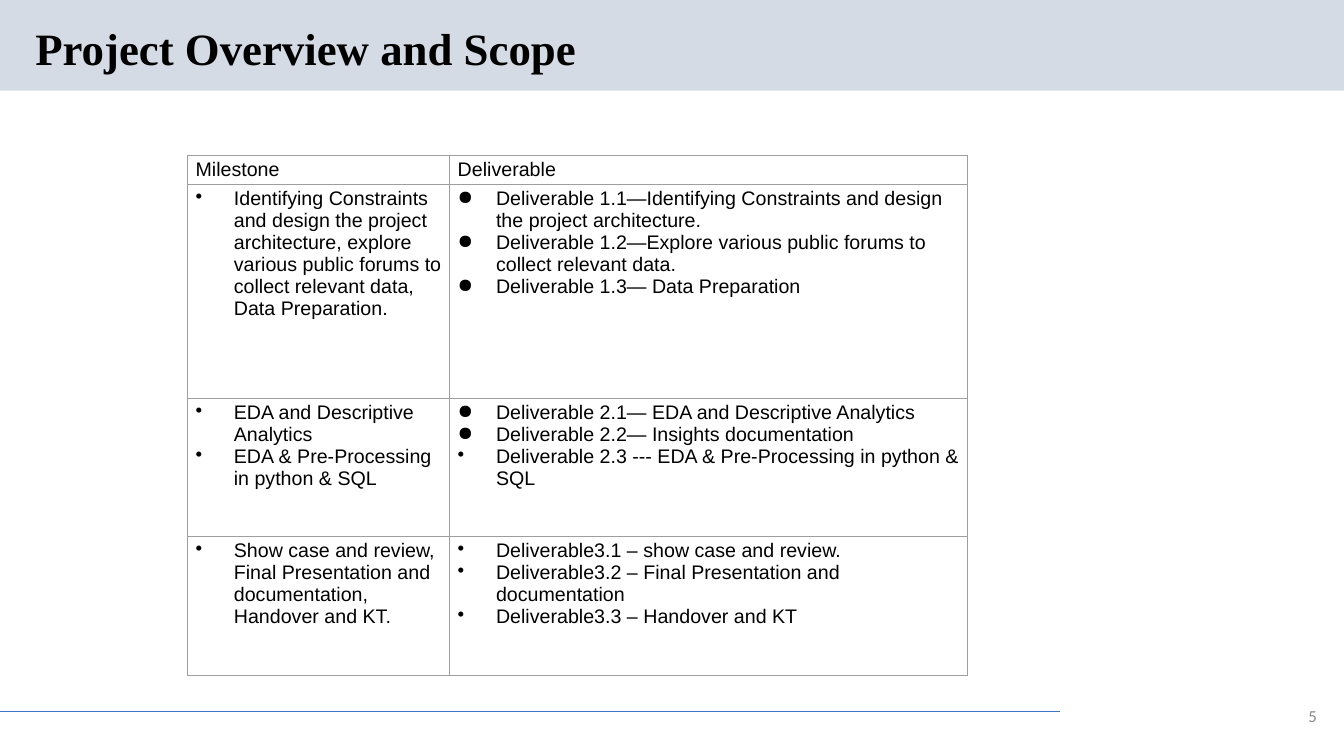
"""Build the project overview slide with its table of milestones and deliverables."""
from lxml import etree
from pptx import Presentation
from pptx.dml.color import RGBColor
from pptx.enum.shapes import MSO_CONNECTOR, MSO_SHAPE
from pptx.enum.text import MSO_ANCHOR, PP_ALIGN
from pptx.oxml.ns import qn
from pptx.util import Inches, Pt

RECTANGLE = MSO_SHAPE.RECTANGLE
STRAIGHT = MSO_CONNECTOR.STRAIGHT
MIDDLE, TOP = MSO_ANCHOR.MIDDLE, MSO_ANCHOR.TOP
LEFT, RIGHT = PP_ALIGN.LEFT, PP_ALIGN.RIGHT

COLORS = {"band": "D5DBE5", "rule": "4472C4", "text": "000000",
          "number": "888888", "border": "9E9E9E"}
TITLE = "Project Overview and Scope"
PAGE_NUMBER = "5"
HEADINGS = ["Milestone", "Deliverable"]
DOT, DISC = "•", "●"
MILESTONES = [
    (
        [(DOT, "Identifying Constraints and design the project architecture, explore "
               "various public forums to collect relevant data, Data Preparation.")],
        [(DISC, "Deliverable 1.1—Identifying Constraints and design the project architecture."),
         (DISC, "Deliverable 1.2—Explore various public forums to collect relevant data."),
         (DISC, "Deliverable 1.3— Data Preparation")],
    ),
    (
        [(DOT, "EDA and Descriptive Analytics"),
         (DOT, "EDA & Pre-Processing in python & SQL")],
        [(DISC, "Deliverable 2.1— EDA and Descriptive Analytics"),
         (DISC, "Deliverable 2.2— Insights documentation"),
         (DOT, "Deliverable 2.3 --- EDA & Pre-Processing in python & SQL")],
    ),
    (
        [(DOT, "Show case and review, Final Presentation and documentation, Handover and KT.")],
        [(DOT, "Deliverable3.1 – show case and review."),
         (DOT, "Deliverable3.2 – Final Presentation and documentation"),
         (DOT, "Deliverable3.3 – Handover and KT")],
    ),
]
TABLE_LEFT, TABLE_TOP = 1.86, 1.54
COLUMN_WIDTHS = [2.6, 5.14]
ROW_HEIGHTS = [0.29, 2.12, 1.37, 1.38]
BULLET_INDENT = 0.38


def color(name):
    return RGBColor.from_string(COLORS[name])


def set_font(paragraph, name, size, color_name, bold=False):
    font = paragraph.font
    font.name, font.size, font.bold = name, Pt(size), bold
    font.color.rgb = color(color_name)


def add_bullet(paragraph, character):
    properties = paragraph._p.get_or_add_pPr()
    properties.set("marL", str(Inches(BULLET_INDENT)))
    properties.set("indent", str(-Inches(BULLET_INDENT)))
    bullet = etree.Element(qn("a:buChar"), char=character)
    properties.insert(0, bullet)


def add_borders(cell):
    properties = cell._tc.get_or_add_tcPr()
    for position, side in enumerate(("lnL", "lnR", "lnT", "lnB")):
        line = etree.Element(qn(f"a:{side}"), w=str(Pt(0.75)))
        fill = etree.SubElement(line, qn("a:solidFill"))
        etree.SubElement(fill, qn("a:srgbClr"), val=COLORS["border"])
        properties.insert(position, line)


def fill_cell(cell, items, anchor):
    cell.margin_left = cell.margin_right = Inches(0.08)
    cell.margin_top = cell.margin_bottom = Inches(0.03)
    cell.vertical_anchor = anchor
    cell.fill.background()
    add_borders(cell)
    cell.text = "\n".join(text for _, text in items)
    for paragraph, (character, _) in zip(cell.text_frame.paragraphs, items):
        set_font(paragraph, "Arial", 14, "text")
        if character:
            add_bullet(paragraph, character)


def add_header(slide):
    band = slide.shapes.add_shape(RECTANGLE, 0, 0, Inches(13.33), Inches(0.9))
    band.shadow.inherit = False
    band.fill.solid()
    band.fill.fore_color.rgb = color("band")
    band.line.fill.background()
    title = slide.shapes.title
    title.left, title.top = Inches(0.25), Inches(0.21)
    title.width, title.height = Inches(11.5), Inches(0.59)
    title.text_frame.text = TITLE
    title.text_frame.vertical_anchor = MIDDLE
    paragraph = title.text_frame.paragraphs[0]
    paragraph.alignment, paragraph.line_spacing = LEFT, 0.9
    set_font(paragraph, "Times New Roman", 32, "text", bold=True)
    slide.shapes._spTree.append(title._element)


def add_footer(slide):
    rule = slide.shapes.add_connector(STRAIGHT, 0, Inches(7.06), Inches(10.51), Inches(7.06))
    rule.line.color.rgb = color("rule")
    rule.line.width = Pt(0.75)
    etree.SubElement(rule._element.spPr, qn("a:effectLst"))
    number = slide.shapes.add_textbox(Inches(12.73), Inches(6.94), Inches(0.43), Inches(0.32))
    number.text_frame.word_wrap = True
    number.text_frame.vertical_anchor = MIDDLE
    number.text_frame.text = PAGE_NUMBER
    paragraph = number.text_frame.paragraphs[0]
    paragraph.alignment = RIGHT
    set_font(paragraph, "Calibri", 12, "number")


def add_milestones(slide):
    table = slide.shapes.add_table(
        len(ROW_HEIGHTS), len(COLUMN_WIDTHS), Inches(TABLE_LEFT), Inches(TABLE_TOP),
        Inches(sum(COLUMN_WIDTHS)), Inches(sum(ROW_HEIGHTS))).table
    table.first_row = table.horz_banding = False
    for column, width in zip(table.columns, COLUMN_WIDTHS):
        column.width = Inches(width)
    for row, height in zip(table.rows, ROW_HEIGHTS):
        row.height = Inches(height)
    for column, heading in enumerate(HEADINGS):
        fill_cell(table.cell(0, column), [(None, heading)], MIDDLE)
    for row, cells in enumerate(MILESTONES, start=1):
        for column, items in enumerate(cells):
            fill_cell(table.cell(row, column), items, TOP)


def main():
    presentation = Presentation()
    presentation.slide_width, presentation.slide_height = Inches(13.33), Inches(7.5)
    slide = presentation.slides.add_slide(presentation.slide_layouts[5])
    add_header(slide)
    add_footer(slide)
    add_milestones(slide)
    presentation.save("out.pptx")


if __name__ == "__main__":
    main()
